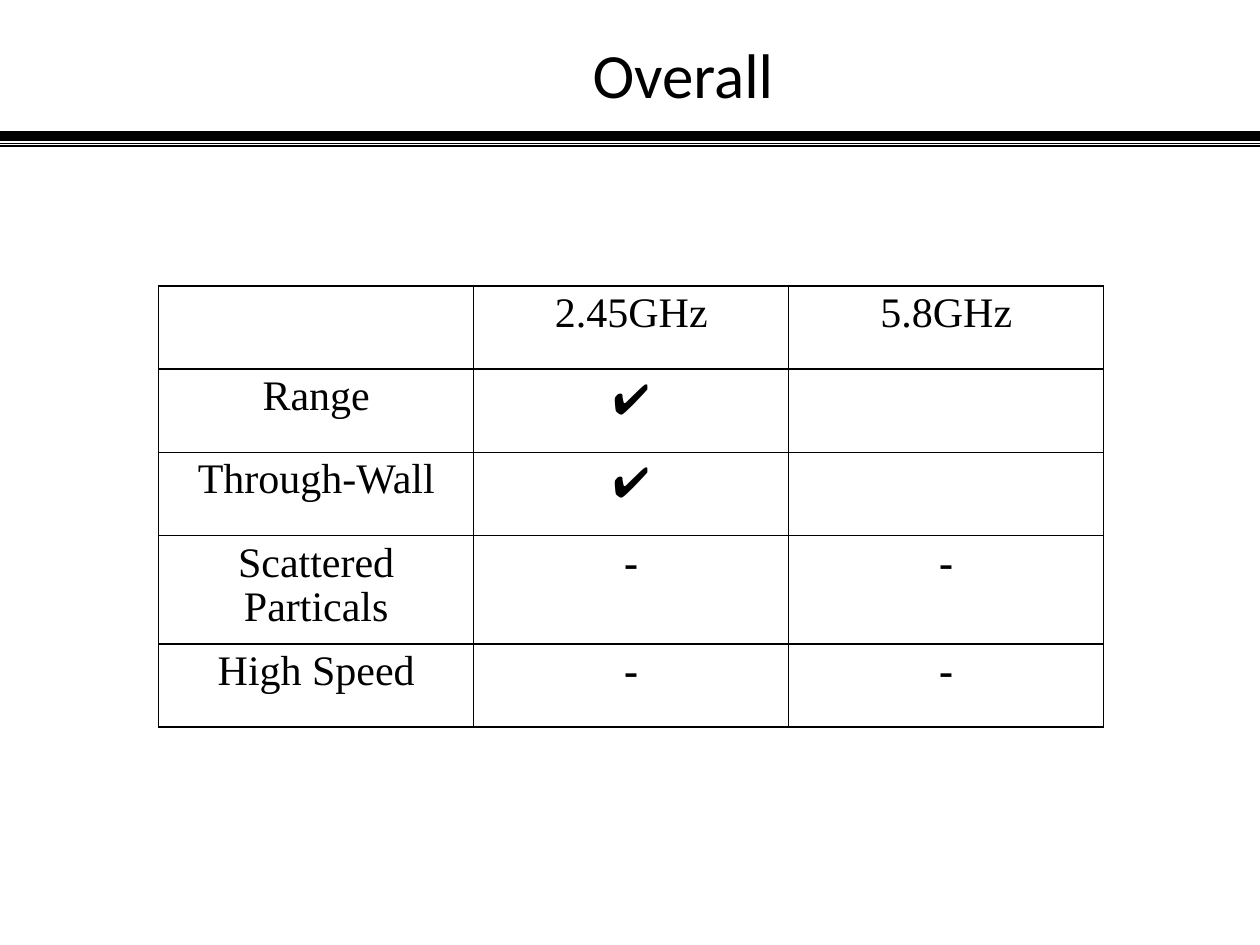
import pptx
import pptx.dml.color
import pptx.enum.text
import pptx.oxml
import pptx.oxml.ns
import pptx.util
from pptx.util import Inches

BLACK = pptx.dml.color.RGBColor(0, 0, 0)
CHECK = "✔"
ROWS = [
    ["", "2.45GHz", "5.8GHz"],
    ["Range", CHECK, ""],
    ["Through-Wall", CHECK, ""],
    ["Scattered Particals", "-", "-"],
    ["High Speed", "-", "-"],
]


class SlideBuilder:
    """Draws rules, a title and a bordered table in one style."""

    title_font = "Calibri"
    table_font = "Times New Roman"

    def __init__(self, slide):
        self.slide = slide

    def style(self, paragraph, name, size, bold=False):
        paragraph.alignment = pptx.enum.text.PP_ALIGN.CENTER
        paragraph.font.name = name
        paragraph.font.size = pptx.util.Pt(size)
        paragraph.font.bold = bold
        paragraph.font.color.rgb = BLACK

    def rule(self, top, weight):
        connector = self.slide.shapes.add_connector(
            pptx.enum.shapes.MSO_CONNECTOR.STRAIGHT,
            Inches(-0.01), Inches(top), Inches(10), Inches(top))
        connector.line.color.rgb = BLACK
        connector.line.width = pptx.util.Pt(weight)
        properties = connector._element.spPr
        properties.append(pptx.oxml.parse_xml(
            f"<a:effectLst {pptx.oxml.ns.nsdecls('a')}/>"))

    def title(self, text, left, top, width, height):
        shape = self.slide.shapes.add_textbox(
            Inches(left), Inches(top), Inches(width), Inches(height))
        frame = shape.text_frame
        frame.word_wrap = True
        frame.vertical_anchor = pptx.enum.text.MSO_ANCHOR.MIDDLE
        frame.margin_left = frame.margin_right = 0
        frame.margin_top = frame.margin_bottom = 0
        frame.text = text
        self.style(frame.paragraphs[0], self.title_font, 36)

    def border(self, cell):
        properties = cell._tc.get_or_add_tcPr()
        for index, side in enumerate(("lnL", "lnR", "lnT", "lnB")):
            properties.insert(index, pptx.oxml.parse_xml(
                f"<a:{side} {pptx.oxml.ns.nsdecls('a')} w='12700'>"
                f"<a:solidFill><a:srgbClr val='{BLACK}'/></a:solidFill></a:{side}>"))

    def table(self, rows, left, top, column_width, row_height):
        column_count = len(rows[0])
        table = self.slide.shapes.add_table(
            len(rows), column_count, Inches(left), Inches(top),
            Inches(column_width * column_count),
            Inches(row_height * len(rows))).table
        table.first_row = table.horz_banding = False
        for row, texts in zip(table.rows, rows):
            row.height = Inches(row_height)
            for cell, text in zip(row.cells, texts):
                cell.fill.background()
                self.border(cell)
                cell.text = text
                paragraph = cell.text_frame.paragraphs[0]
                paragraph.line_spacing = 0.95
                name = self.title_font if text == CHECK else self.table_font
                self.style(paragraph, name, 24, bold=text in (CHECK, "-"))


def main():
    presentation = pptx.Presentation()
    presentation.slide_width = Inches(10)
    presentation.slide_height = Inches(7.5)
    builder = SlideBuilder(
        presentation.slides.add_slide(presentation.slide_layouts[6]))
    for top, weight in ((1.08, 6), (1.14, 1), (1.16, 1)):
        builder.rule(top, weight)
    builder.title("Overall", 1.09, 0.25, 8.66, 0.67)
    builder.table(ROWS, 1.26, 2.27, 2.5, 0.66)
    presentation.save("out.pptx")


if __name__ == "__main__":
    main()
